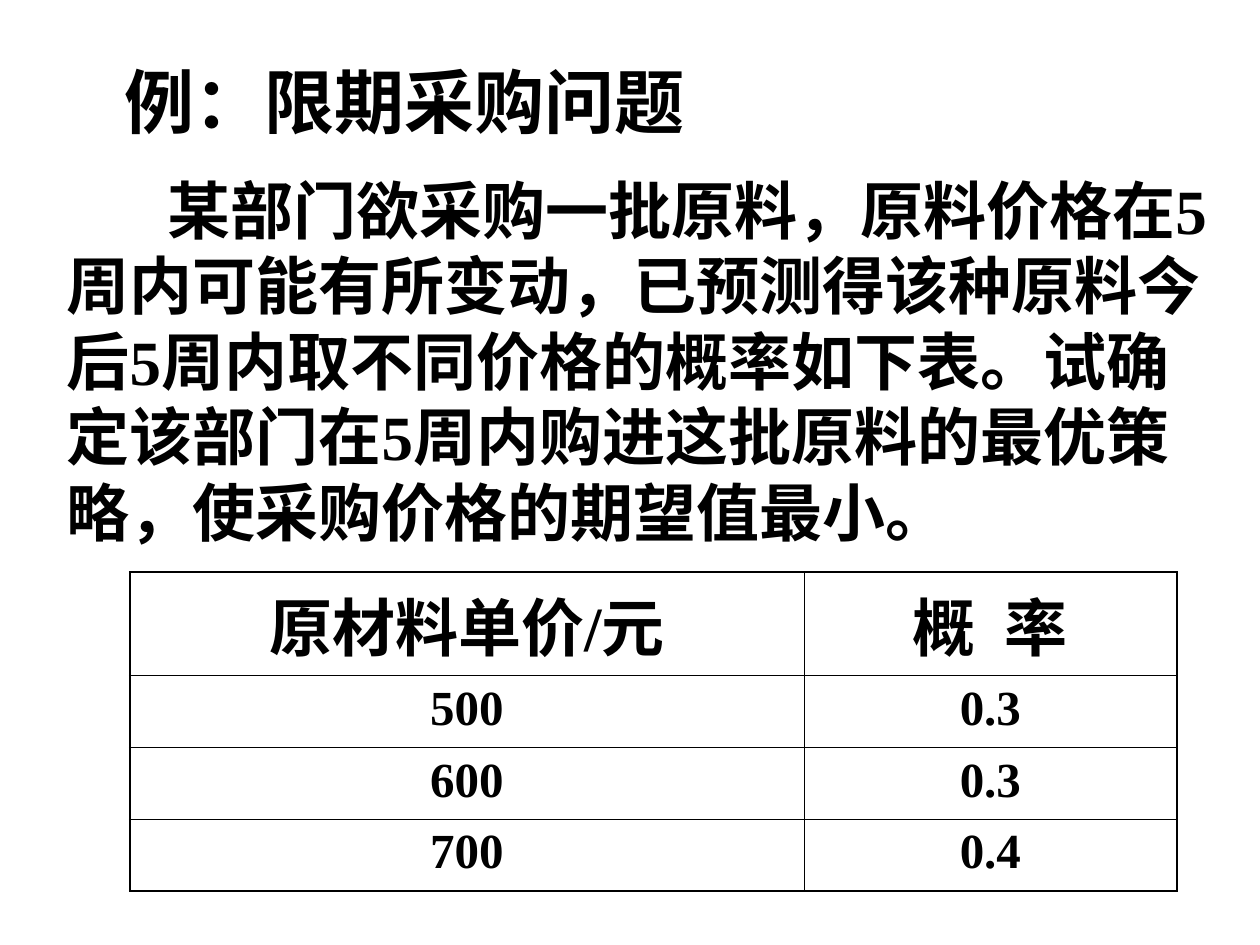
from lxml import etree
from pptx import Presentation
from pptx.dml.color import RGBColor
from pptx.enum import text
from pptx.oxml import ns
from pptx.util import Inches, Pt

BLACK = RGBColor(0, 0, 0)
HAN = "Noto Sans CJK SC"
LATIN = "Times New Roman"


def write(frame, words, size, face, align, indent=0):
    frame.word_wrap = True
    para = frame.paragraphs[0]
    para.alignment = align
    para.space_before = Pt(0)
    if indent:
        para._p.get_or_add_pPr().set("indent", str(Inches(indent)))
    run = para.add_run()
    run.text = words
    style = {"size": Pt(size), "bold": True, "name": face}
    for key, value in style.items():
        setattr(run.font, key, value)
    run.font.color.rgb = BLACK
    east = etree.SubElement(run._r.get_or_add_rPr(), ns.qn("a:ea"))
    east.set("typeface", HAN)
    return run


def edge(cell, side, width):
    line = etree.SubElement(cell._tc.get_or_add_tcPr(), ns.qn("a:ln" + side))
    line.set("w", str(Pt(width)))
    fill = etree.SubElement(line, ns.qn("a:solidFill"))
    etree.SubElement(fill, ns.qn("a:srgbClr")).set("val", str(BLACK))


deck = Presentation()
deck.slide_width, deck.slide_height = Inches(10), Inches(7.5)
slide = deck.slides.add_slide(deck.slide_layouts[5])
left, center = text.PP_ALIGN.LEFT, text.PP_ALIGN.CENTER

# Title
title = slide.shapes.title
place = {"left": 0.51, "top": 0.36, "width": 8.89, "height": 0.87}
for key, value in place.items():
    setattr(title, key, Inches(value))
title.text_frame.vertical_anchor = text.MSO_ANCHOR.MIDDLE
write(title.text_frame, "例：限期采购问题", 40, HAN, left, 0.38)

# Problem statement
body = slide.shapes.add_textbox(Inches(0.43), Inches(1.31), Inches(9.29), Inches(3.23))
story = (
    "某部门欲采购一批原料，原料价格在5周内可能有所变动，"
    "已预测得该种原料今后5周内取不同价格的概率如下表。"
    "试确定该部门在5周内购进这批原料的最优策略，使采购价格的期望值最小。"
)
write(body.text_frame, story, 36, LATIN, left, 0.8)

# Price table
rows = [("原材料单价/元", "概 率"), ("500", "0.3"), ("600", "0.3"), ("700", "0.4")]
wides = [5.35, 2.96]
highs = [0.82] + [0.57] * 3
grid = slide.shapes.add_table(
    len(rows), len(wides), Inches(1.03), Inches(4.54),
    Inches(sum(wides)), Inches(sum(highs))).table
for col, wide in zip(grid.columns, wides):
    col.width = Inches(wide)
for row, high in zip(grid.rows, highs):
    row.height = Inches(high)

for r, row in enumerate(rows):
    for c, words in enumerate(row):
        cell = grid.cell(r, c)
        run = write(cell.text_frame, words, 28 if r else 36, LATIN, center)
        if " " in words:  # spread the two characters apart
            run._r.get_or_add_rPr().set("spc", "430")
        # Heavy outer frame, thin inner lines
        outer = {"L": c == 0, "R": c == len(wides) - 1,
                 "T": r == 0, "B": r == len(rows) - 1}
        for side, heavy in outer.items():
            edge(cell, side, 1.08 if heavy else 0.45)
        cell.fill.background()

deck.save("out.pptx")
